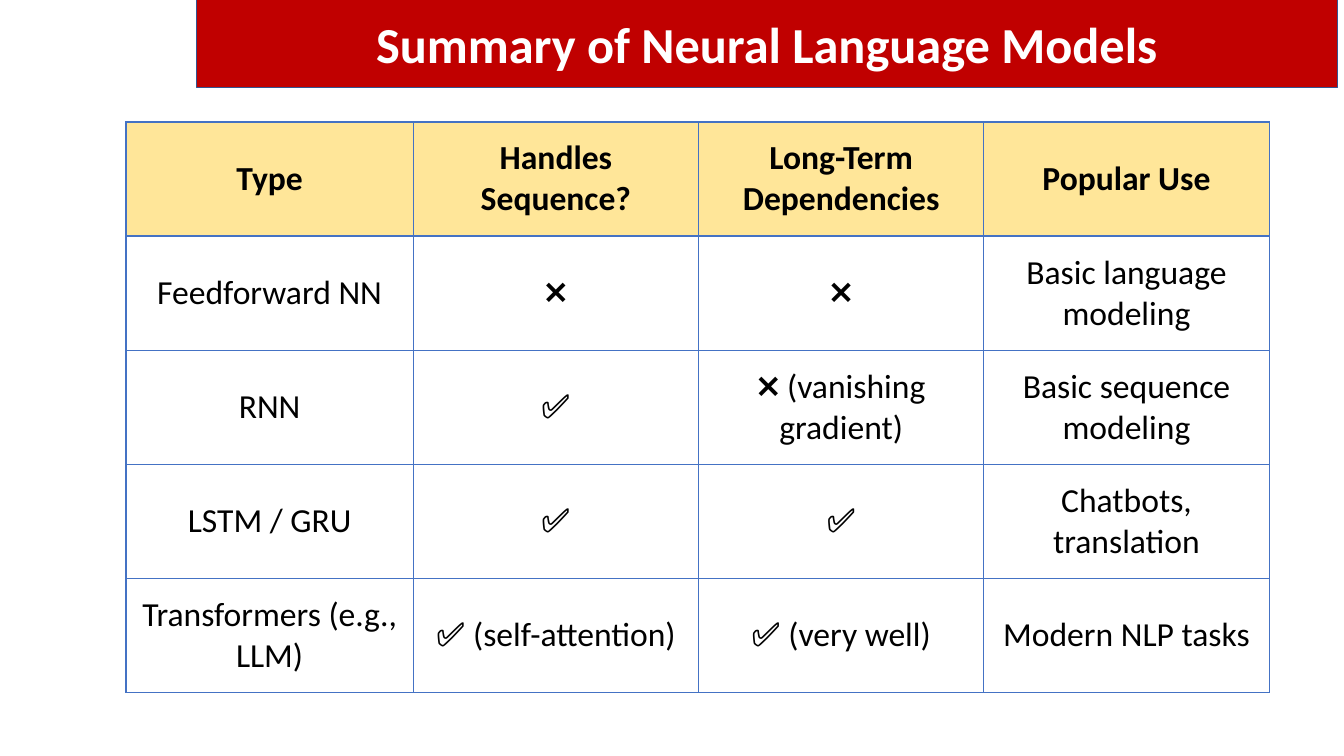
from lxml.etree import SubElement
from pptx import Presentation
from pptx.dml.color import RGBColor
from pptx.enum.shapes import MSO_SHAPE
from pptx.enum.text import MSO_ANCHOR, PP_ALIGN
from pptx.oxml.ns import qn
from pptx.util import Pt

FONT = "Calibri"
HEADER_FILL = "FFE699"
BORDER_COLOR = "4472C4"
COLUMN_WIDTHS = [205.2, 203.8, 203.8, 203.8]
ROW_HEIGHT = 81.5
MODEL_ROWS = [
    ["Type", "Handles Sequence?", "Long-Term Dependencies", "Popular Use"],
    ["Feedforward NN", "❌", "❌", "Basic language modeling"],
    ["RNN", "✅", "❌ (vanishing gradient)", "Basic sequence modeling"],
    ["LSTM / GRU", "✅", "✅", "Chatbots, translation"],
    ["Transformers (e.g., LLM)", "✅ (self-attention)", "✅ (very well)", "Modern NLP tasks"],
]


def color(value):
    return RGBColor.from_string(value)


def write_centered(text_frame, text, size, text_color, bold):
    text_frame.word_wrap = True
    paragraph = text_frame.paragraphs[0]
    paragraph.alignment = PP_ALIGN.CENTER
    run = paragraph.add_run()
    run.text = text
    run.font.name = FONT
    run.font.size = Pt(size)
    run.font.bold = bold
    run.font.color.rgb = color(text_color)


def add_banner(slide, title):
    shape = slide.shapes.add_shape(
        MSO_SHAPE.RECTANGLE, Pt(140.4), Pt(-0.7), Pt(815), Pt(63.4)
    )
    shape.shadow.inherit = False
    shape.fill.solid()
    shape.fill.fore_color.rgb = color("C00000")
    shape.line.color.rgb = color("325491")
    shape.line.width = Pt(1)
    shape.text_frame.vertical_anchor = MSO_ANCHOR.MIDDLE
    write_centered(shape.text_frame, title, 36, "FFFFFF", True)


def add_borders(cell):
    properties = cell._tc.get_or_add_tcPr()
    for index, side in enumerate(["a:lnL", "a:lnR", "a:lnT", "a:lnB"]):
        line = SubElement(properties, qn(side), w=str(Pt(1)))
        properties.insert(index, line)
        fill = SubElement(line, qn("a:solidFill"))
        SubElement(fill, qn("a:srgbClr"), val=BORDER_COLOR)


def fill_cell(cell, text, is_header):
    cell.vertical_anchor = MSO_ANCHOR.MIDDLE
    if is_header:
        cell.fill.solid()
        cell.fill.fore_color.rgb = color(HEADER_FILL)
    else:
        cell.fill.background()
    add_borders(cell)
    write_centered(cell.text_frame, text, 24, "000000", is_header)


def add_model_table(slide, rows):
    table = slide.shapes.add_table(
        len(rows), len(COLUMN_WIDTHS), Pt(90), Pt(87.1),
        Pt(sum(COLUMN_WIDTHS)), Pt(ROW_HEIGHT * len(rows)),
    ).table
    table.horz_banding = False
    for column, width in zip(table.columns, COLUMN_WIDTHS):
        column.width = Pt(width)
    for row_index, texts in enumerate(rows):
        table.rows[row_index].height = Pt(ROW_HEIGHT)
        for column_index, text in enumerate(texts):
            fill_cell(table.cell(row_index, column_index), text, row_index == 0)


def main():
    presentation = Presentation()
    presentation.slide_width = Pt(960)
    presentation.slide_height = Pt(540)
    slide = presentation.slides.add_slide(presentation.slide_layouts[6])
    add_banner(slide, "Summary of Neural Language Models")
    add_model_table(slide, MODEL_ROWS)
    presentation.save("out.pptx")


if __name__ == "__main__":
    main()
